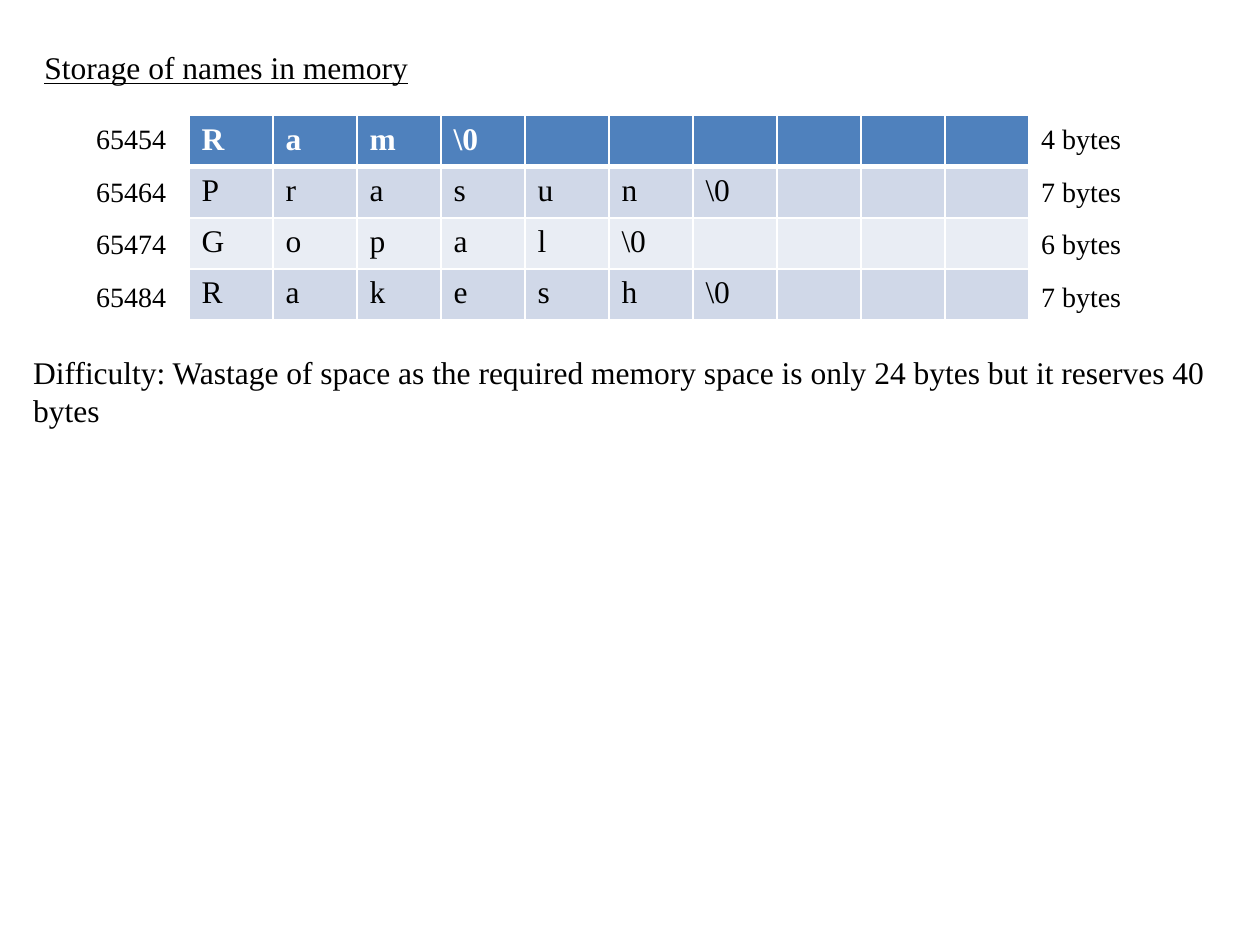
from dataclasses import dataclass

from lxml.etree import SubElement
from pptx import Presentation
from pptx.dml.color import RGBColor
from pptx.enum.text import MSO_ANCHOR, MSO_AUTO_SIZE as AutoSize, PP_ALIGN
from pptx.oxml.ns import qn
from pptx.util import Cm, Pt

FONT = "Times New Roman"
BLACK, WHITE = "000000", "FFFFFF"
HEADER_FILL, BAND_FILLS = "4F81BD", ("D0D8E8", "E9EDF4")
BYTES_PER_ROW = 10
TABLE_LEFT, TABLE_TOP, TABLE_WIDTH = 3.81, 2.33, 16.93
ROW_HEIGHT, LABEL_PITCH = 1.03, 1.06


@dataclass(frozen=True)
class StoredName:
    address: int
    name: str

    @property
    def characters(self) -> list[str]:
        return [*self.name, "\\0"]


NAMES = [
    StoredName(65454, "Ram"),
    StoredName(65464, "Prasun"),
    StoredName(65474, "Gopal"),
    StoredName(65484, "Rakesh"),
]


def color(value: str) -> RGBColor:
    return RGBColor.from_string(value)


def add_run(paragraph, text: str, size: int = 18, text_color: str = BLACK,
            bold: bool = False, underline: bool = False) -> None:
    run = paragraph.add_run()
    run.text = text
    font = run.font
    font.name, font.size = FONT, Pt(size)
    font.bold, font.underline = bold, underline
    font.color.rgb = color(text_color)


def add_label(slide, text: str, left: float, top: float, width: float,
              height: float = 0.94, size: int = 16) -> None:
    box = slide.shapes.add_textbox(Cm(left), Cm(top), Cm(width), Cm(height))
    frame = box.text_frame
    frame.word_wrap = True
    frame.auto_size = AutoSize.SHAPE_TO_FIT_TEXT
    add_run(frame.paragraphs[0], text, size)


def set_title(slide, text: str) -> None:
    title = slide.shapes.title
    title.left, title.top = Cm(0.64), Cm(0.85)
    title.width, title.height = Cm(23.92), Cm(1.02)
    frame = title.text_frame
    frame.vertical_anchor = MSO_ANCHOR.TOP
    frame.auto_size = AutoSize.SHAPE_TO_FIT_TEXT
    paragraph = frame.paragraphs[0]
    paragraph.alignment = PP_ALIGN.LEFT
    add_run(paragraph, text, underline=True)


def set_borders(cell, **widths: float) -> None:
    """Draw white borders; the keys are the sides L, R, T and B, in that order."""
    properties = cell._tc.get_or_add_tcPr()
    for index, (side, width) in enumerate(widths.items()):
        line = SubElement(properties, qn(f"a:ln{side}"), w=str(Pt(width)))
        fill = SubElement(line, qn("a:solidFill"))
        SubElement(fill, qn("a:srgbClr"), val=WHITE)
        properties.remove(line)
        properties.insert(index, line)


def add_memory_table(slide, names: list[StoredName]) -> None:
    table = slide.shapes.add_table(
        len(names), BYTES_PER_ROW, Cm(TABLE_LEFT), Cm(TABLE_TOP),
        Cm(TABLE_WIDTH), Cm(ROW_HEIGHT * len(names))).table
    for row, stored in enumerate(names):
        header = row == 0
        fill = HEADER_FILL if header else BAND_FILLS[(row - 1) % 2]
        for column in range(BYTES_PER_ROW):
            cell = table.cell(row, column)
            cell.fill.solid()
            cell.fill.fore_color.rgb = color(fill)
            set_borders(cell, L=1, R=1, T=3 if row == 1 else 1, B=3 if header else 1)
            if column < len(stored.characters):
                add_run(cell.text_frame.paragraphs[0], stored.characters[column],
                        text_color=WHITE if header else BLACK, bold=header)


def main() -> None:
    presentation = Presentation()
    presentation.slide_width, presentation.slide_height = Cm(25.4), Cm(19.05)
    slide = presentation.slides.add_slide(presentation.slide_layouts[5])

    set_title(slide, "Storage of names in memory")
    add_memory_table(slide, NAMES)
    for row, stored in enumerate(NAMES):
        top = TABLE_TOP + row * LABEL_PITCH
        add_label(slide, str(stored.address), 1.69, top, 2.12)
        add_label(slide, f"{len(stored.characters)} bytes",
                  TABLE_LEFT + TABLE_WIDTH, top, 2.33)

    required = sum(len(stored.characters) for stored in NAMES)
    reserved = len(NAMES) * BYTES_PER_ROW
    add_label(slide, "Difficulty: Wastage of space as the required memory space is "
              f"only {required} bytes but it reserves {reserved} bytes",
              0.42, 6.99, 24.55, 1.8, size=18)
    presentation.save("out.pptx")


if __name__ == "__main__":
    main()
